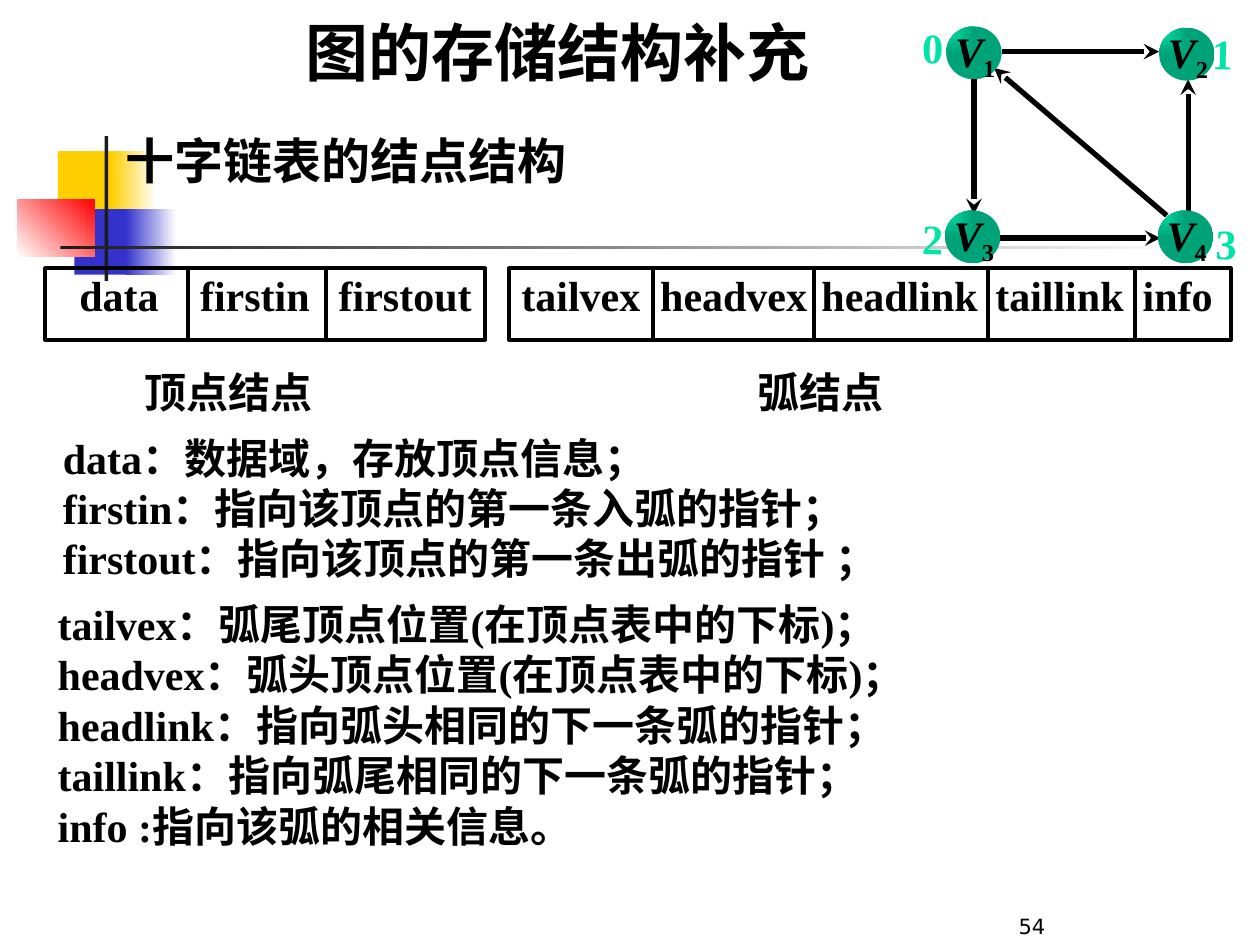
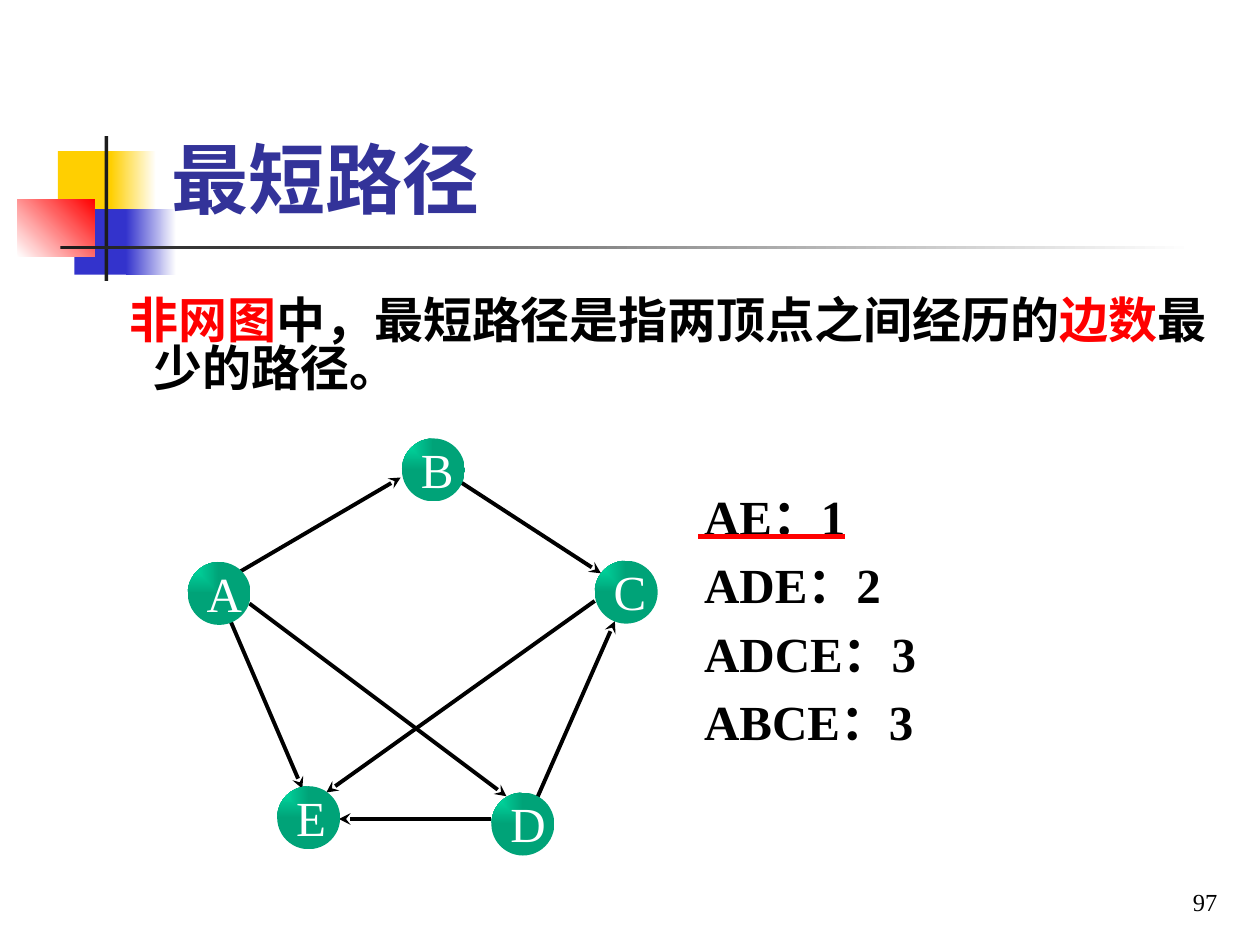
from lxml import etree
from pptx import Presentation
from pptx.dml.color import RGBColor
from pptx.enum import shapes, text
from pptx.oxml.ns import qn
from pptx.util import Pt

PX = 9144
SERIF, SANS, HAN = "Times New Roman", "DejaVu Sans", "Noto Sans CJK SC"
BLACK, WHITE, RED = "000000", "FFFFFF", "FF0000"
INK, GOLD, BLUE, NAVY, MINT = "1C1C1C", "FFCF01", "3333CC", "333399", "00E4A8"
LEFT, MID, RIGHT, JUST = (text.PP_ALIGN.LEFT, text.PP_ALIGN.CENTER,
                          text.PP_ALIGN.RIGHT, text.PP_ALIGN.JUSTIFY)
TOP, LOW = text.MSO_ANCHOR.TOP, text.MSO_ANCHOR.BOTTOM
RECT, OVAL = shapes.MSO_SHAPE.RECTANGLE, shapes.MSO_SHAPE.OVAL


def rgb(code):
    return RGBColor.from_string(code)


def emu(*sizes):
    return [round(size * PX) for size in sizes]


def style(run, size, color=BLACK, bold=True, face=SERIF):
    font = run.font
    font.size, font.bold, font.name = Pt(size), bold, face
    font.color.rgb = rgb(color)


def write(shape, lines, size, color=BLACK, bold=True, face=SERIF, align=LEFT,
          pad=(10, 5, 10, 5), anchor=TOP, pitch=None, gap=0):
    frame = shape.text_frame
    frame.word_wrap = True
    frame.vertical_anchor = anchor
    (frame.margin_left, frame.margin_top,
     frame.margin_right, frame.margin_bottom) = emu(*pad)
    frame.text = lines
    for i, para in enumerate(frame.paragraphs):
        para.alignment = align
        if pitch:
            para.line_spacing = Pt(pitch)
        if i and gap:
            para.space_before = Pt(gap)
        for run in para.runs:
            style(run, size, color, bold, face)
    return frame


def label(slide, box, lines, size, **look):
    shape = slide.shapes.add_textbox(*emu(*box))
    write(shape, lines, size, **look)
    return shape


def block(slide, box, kind=RECT, fill=None):
    shape = slide.shapes.add_shape(kind, *emu(*box))
    shape.shadow.inherit = False
    shape.line.fill.background()
    if fill:
        shape.fill.solid()
        shape.fill.fore_color.rgb = rgb(fill)
    else:
        shape.fill.background()
    return shape


def blend(shape, start, end, angle=0):
    shape.fill.gradient()
    shape.fill.gradient_angle = angle
    for stop, code in zip(shape.fill.gradient_stops, (start, end)):
        stop.color.rgb = rgb(code)


def line(slide, start, end, width, color=BLACK, arrow=True):
    link = slide.shapes.add_connector(
        shapes.MSO_CONNECTOR.STRAIGHT, *emu(*start, *end))
    link.line.width = Pt(width)
    link.line.color.rgb = rgb(color)
    if arrow:
        pen = link.line._get_or_add_ln()
        etree.SubElement(pen, qn("a:tailEnd"), type="stealth")
    etree.SubElement(link._element.spPr, qn("a:effectLst"))


def ball(slide, box):
    shape = block(slide, box, OVAL)
    blend(shape, MINT, MINT)
    grad = shape._element.spPr.find(qn("a:gradFill"))
    dark = grad.findall(".//" + qn("a:srgbClr"))[-1]
    etree.SubElement(dark, qn("a:shade"), val="46275")
    focus = etree.Element(qn("a:path"), path="rect")
    etree.SubElement(focus, qn("a:fillToRect"), r="100000", b="100000")
    grad.replace(grad.find(qn("a:lin")), focus)


def motif(slide, x, y):
    parts = (
        ((32, 12, 48, 52), GOLD, None, 0),
        ((74, 12, 36, 52), GOLD, WHITE, 0),
        ((45, 58, 46, 52), BLUE, None, 0),
        ((86, 58, 40, 52), BLUE, WHITE, 0),
        ((0, 50, 61, 46), WHITE, RED, 45),
        ((69, 0, 3, 115), INK, None, 0),
        ((34, 87, 900, 3), INK, WHITE, 0),
    )
    for (dx, dy, w, h), color, end, angle in parts:
        shape = block(slide, (x + dx, y + dy, w, h), fill=color)
        if end:
            blend(shape, color, end, angle)


def record(slide, x, y, cells, name, inset):
    left = x
    for word, width, pad in cells:
        cell = block(slide, (left, y, width, 57))
        cell.line.color.rgb = rgb(BLACK)
        cell.line.width = Pt(2.25)
        write(cell, word, 24, align=JUST, pad=(pad, 1, 0, 1))
        left += width
    label(slide, (x + inset, y + 77, 203, 41), name, 24,
          align=JUST, pad=(0, 1, 0, 1))


def cross(slide, x, y):
    nodes = ((19, 4, 0, 0), (188, 5, 230, 5),
             (18, 150, 0, 152), (187, 150, 233, 156))
    links = (((63, 24), (188, 24)), ((41, 46), (41, 153)),
             ((60, 172), (189, 172)), ((194, 154), (57, 37)),
             ((211, 153), (211, 46)))
    for start, end in links:
        line(slide, (x + start[0], y + start[1]), (x + end[0], y + end[1]), 3)
    for i, (dx, dy, tx, ty) in enumerate(nodes):
        ball(slide, (x + dx, y + dy, 44, 42))
        mark = label(slide, (x + dx + 6, y + dy - 4, 40, 50), "V", 24,
                     align=JUST, pad=(1, 3, 0, 1))
        para = mark.text_frame.paragraphs[0]
        para.runs[0].font.italic = True
        sub = para.add_run()
        sub.text = str(i + 1)
        style(sub, 24)
        sub.font._element.set("baseline", "-25000")
        tag = label(slide, (x + tx, y + ty, 23, 42), str(i), 24, color=MINT,
                    align=JUST, pad=(0, 0, 0, 0))
        tag.rotation = 1.5


def web(slide, x, y):
    spots = {"B": (170, 0), "A": (0, 98), "E": (71, 276),
             "D": (241, 281), "C": (323, 97)}
    links = (((41, 106), (169, 31)), ((241, 302), (120, 302)),
             ((323, 129), (110, 281)), ((214, 33), (328, 107)),
             ((49, 131), (253, 284)), ((277, 286), (339, 145)),
             ((34, 145), (91, 278)))
    for start, end in links:
        line(slide, (x + start[0], y + start[1]),
             (x + end[0], y + end[1]), 2.25)
    for name, (dx, dy) in spots.items():
        ball(slide, (x + dx, y + dy, 50, 50))
        label(slide, (x + dx + 7, y + dy - 5, 46, 60), name, 28, color=WHITE,
              bold=False, align=JUST, pad=(8, 6, 0, 1))


def shade(shape):
    props = shape.text_frame.paragraphs[0].runs[0].font._element
    glow = etree.Element(qn("a:effectLst"))
    cast = etree.SubElement(glow, qn("a:outerShdw"),
                            dist="35921", dir="2700000")
    etree.SubElement(cast, qn("a:srgbClr"), val="808080")
    props.find(qn("a:solidFill")).addnext(glow)


def lists(slide):
    motif(slide, 14, 108)
    label(slide, (90, 99, 583, 57), "十字链表的结点结构", 28, face=HAN)
    record(slide, 36, 213, (("data", 113, 27), ("firstin", 110, 10),
                            ("firstout", 126, 10)), "顶点结点", 79)
    record(slide, 404, 213, (("tailvex", 114, 10), ("headvex", 128, 6),
                             ("headlink", 138, 6), ("taillink", 117, 6),
                             ("info", 76, 6)), "弧结点", 197)
    label(slide, (36, 470, 917, 212),
          "tailvex：弧尾顶点位置(在顶点表中的下标)；\n"
          "headvex：弧头顶点位置(在顶点表中的下标)；\n"
          "headlink：指向弧头相同的下一条弧的指针；\n"
          "taillink：指向弧尾相同的下一条弧的指针；\n"
          "info :指向该弧的相关信息。", 24, align=JUST, pitch=28.8)
    label(slide, (40, 338, 852, 131),
          "data：数据域，存放顶点信息；\n"
          "firstin：指向该顶点的第一条入弧的指针；\n"
          "firstout：指向该顶点的第一条出弧的指针 ；", 24, pitch=28.8)
    shade(label(slide, (233, 6, 558, 70), "图的存储结构补充", 36))
    label(slide, (638, 726, 362, 24), "54", 12, bold=False, face=SANS,
          align=MID, anchor=LOW)
    cross(slide, 732, 17)


def routes(slide):
    motif(slide, 14, 108)
    label(slide, (126, 91, 852, 92), "最短路径", 44, color=NAVY, anchor=LOW)
    body = label(slide, (74, 233, 906, 95), "", 28, pitch=27.5)
    para = body.text_frame.paragraphs[0]
    props = para._p.get_or_add_pPr()
    props.set("marL", str(38 * PX))
    props.set("indent", str(-19 * PX))
    for words, color in (("非网图", RED),
                         ("中，最短路径是指两顶点之间经历的", BLACK),
                         ("边数", RED), ("最少的路径。", BLACK)):
        run = para.add_run()
        run.text = words
        style(run, 28, color, face=HAN)
    web(slide, 149, 348)
    label(slide, (549, 381, 410, 227), "AE：1\nADE：2\nADCE：3\nABCE：3", 28,
          pitch=33.6, gap=5.6)
    line(slide, (554, 426), (671, 426), 3, RED, False)
    label(slide, (768, 682, 208, 50), "97", 14, bold=False,
          align=RIGHT, anchor=LOW)


def main():
    deck = Presentation()
    deck.slide_width, deck.slide_height = emu(1000, 750)
    for build in (lists, routes):
        build(deck.slides.add_slide(deck.slide_layouts[6]))
    deck.save("out.pptx")


if __name__ == "__main__":
    main()
